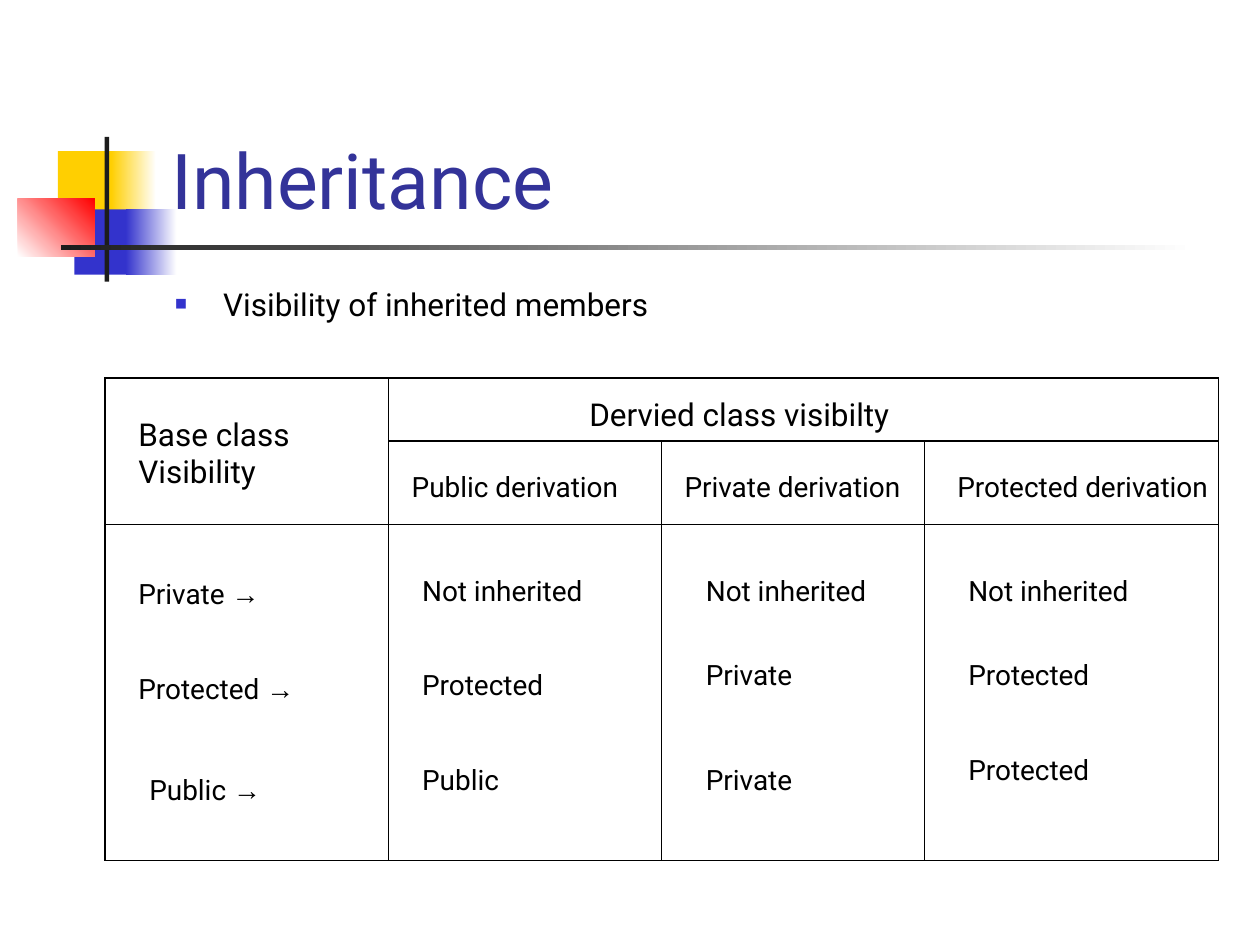
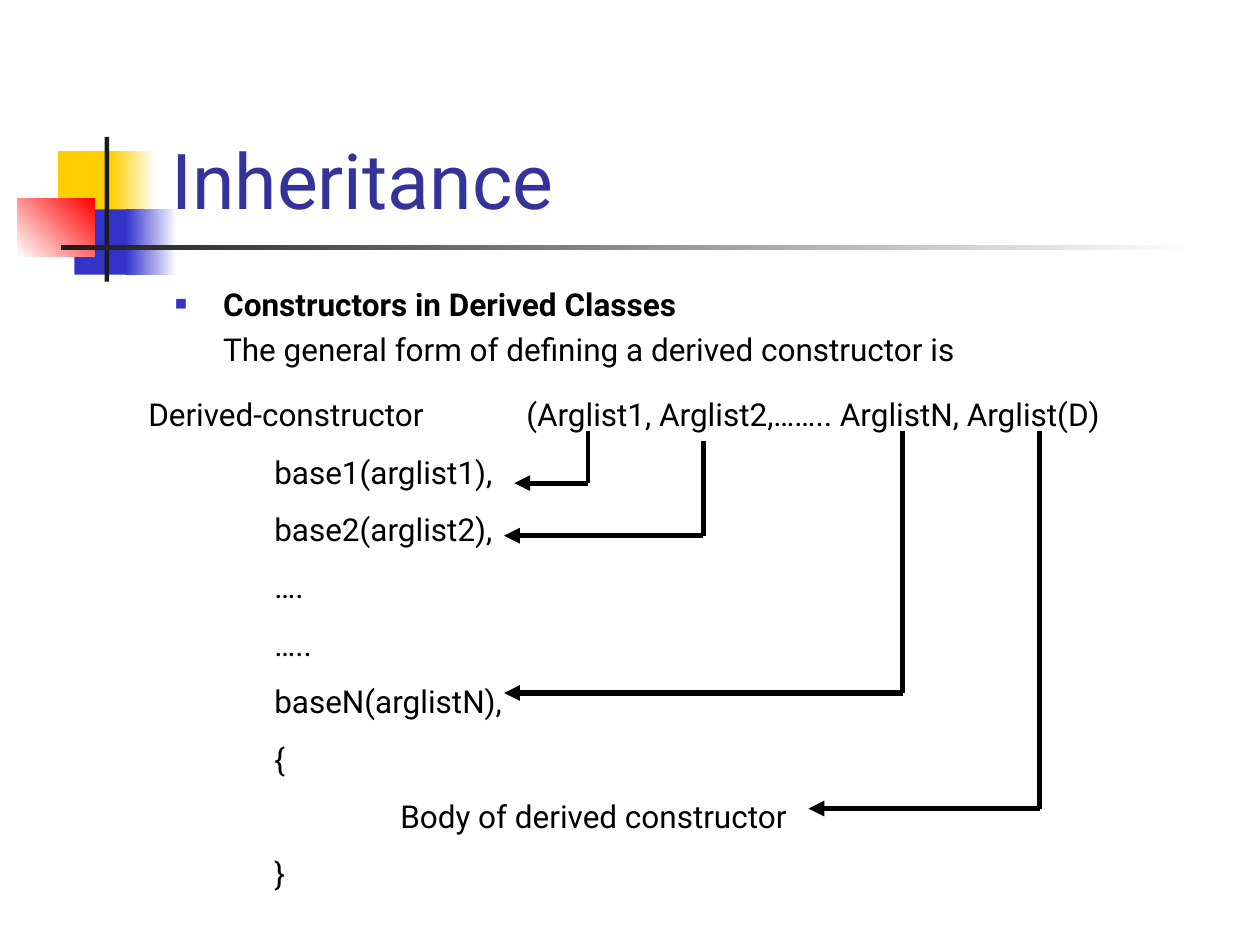
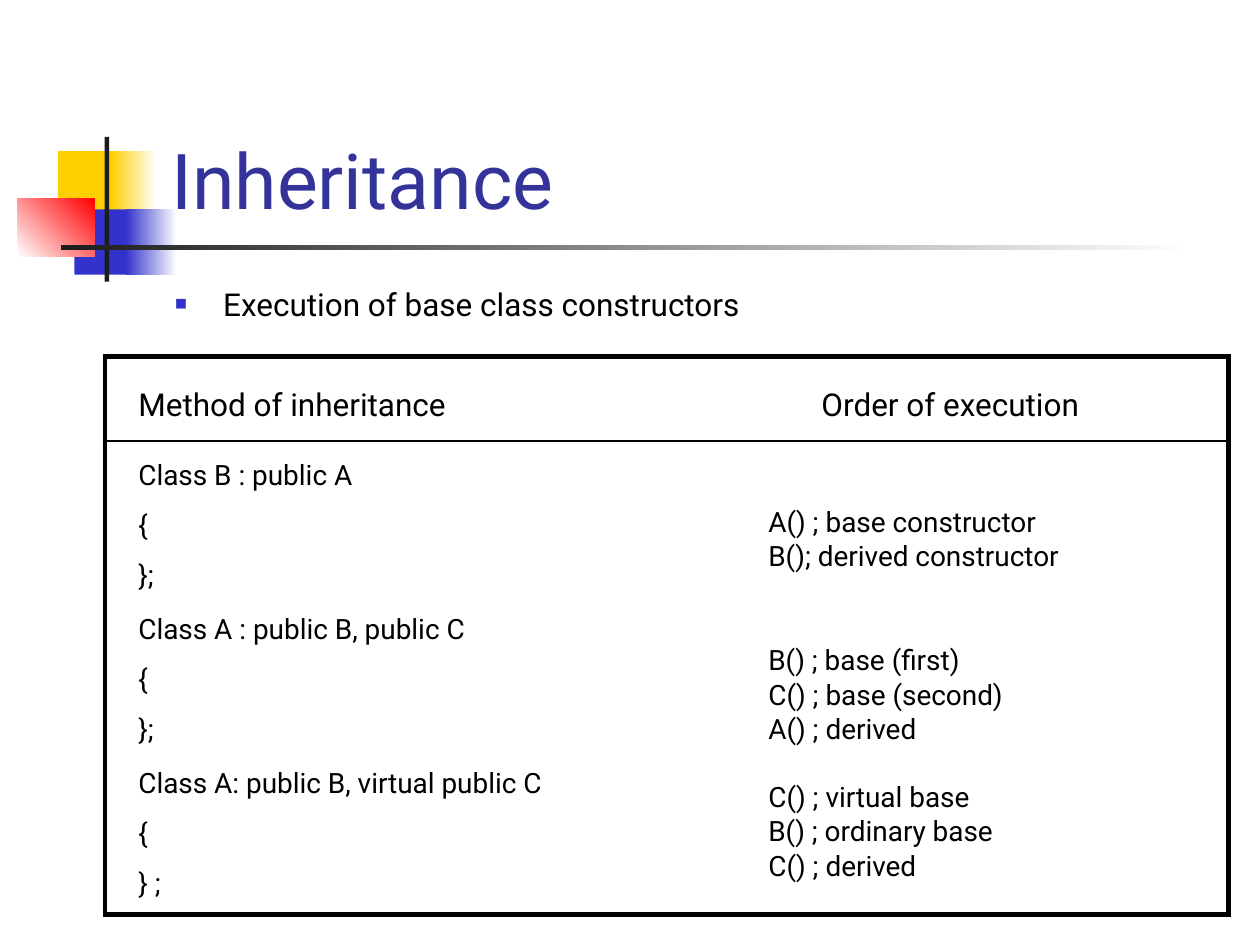
from dataclasses import dataclass

from lxml.etree import SubElement
from pptx import Presentation
from pptx.dml.color import RGBColor
from pptx.enum.shapes import MSO_CONNECTOR as Connector, MSO_SHAPE as Shape
from pptx.enum.text import MSO_ANCHOR as Anchor, MSO_AUTO_SIZE as AutoSize, PP_ALIGN as Align
from pptx.oxml.ns import qn
from pptx.util import Cm, Pt

BLACK, WHITE, CHARCOAL = "000000", "FFFFFF", "1C1C1C"
YELLOW, BLUE, RED, TITLE_BLUE = "FFCF01", "3333CC", "FF0000", "333399"
FONT, ARROW_FONT, ARROW = "Roboto", "Arial", "→"
INSET_X, INSET_Y = 0.25, 0.13
BULLET_INDENT = 0.97
STEP = 2.54


@dataclass
class Block:
    left: float
    top: float
    width: float
    height: float
    colors: tuple[str, ...]
    angle: float = 0


@dataclass
class CellText:
    row: int
    col: int
    text: str
    left: float
    top: float
    size: float = 16
    space: float = 0
    rows: int = 1
    cols: int = 1


@dataclass
class Grid:
    left: float
    top: float
    col_widths: list[float]
    row_heights: list[float]
    row_lines: dict[int, int]
    col_lines: dict[int, int]
    outer: float
    cells: list[CellText]
    inner: float = 0.75


@dataclass
class Arrow:
    x: float
    top: float
    bottom: float
    tip: float
    stem: float = 3


BLOCKS = [
    Block(1.17, 3.05, 1.22, 1.32, (YELLOW,)),
    Block(2.24, 3.05, 0.91, 1.32, (YELLOW, WHITE)),
    Block(1.5, 4.22, 1.17, 1.32, (BLUE,)),
    Block(2.54, 4.22, 1.02, 1.32, (BLUE, WHITE)),
    Block(0.36, 4.01, 1.55, 1.17, (WHITE, RED), 45),
    Block(2.11, 2.76, 0.09, 2.92, (CHARCOAL,)),
    Block(1.23, 4.94, 22.86, 0.1, (CHARCOAL, WHITE)),
]

VISIBILITY = Grid(
    2.12, 7.62, [5.72, 5.5, 5.29, 5.93], [1.27, 1.69, 2.11, 2.11, 2.55],
    row_lines={1: 1, 2: 0}, col_lines={1: 0, 2: 1, 3: 1}, outer=1,
    cells=[
        CellText(0, 0, "Base class Visibility", 0.67, 0.1, 18, rows=2),
        CellText(0, 1, "Dervied class visibilty", 4.04, 0.38, 18, cols=3),
        CellText(1, 1, "Public derivation", 0.46, 0.61),
        CellText(1, 2, "Private derivation", 0.46, 0.61),
        CellText(1, 3, "Protected derivation", 0.67, 0.61),
        CellText(2, 0, "Private →", 0.67, 1.09),
        CellText(2, 1, "Not inherited", 0.67, 1.02),
        CellText(2, 2, "Not inherited", 0.89, 1.02),
        CellText(2, 3, "Not inherited", 0.89, 1.02),
        CellText(3, 0, "Protected →", 0.67, 0.89),
        CellText(3, 1, "Protected", 0.67, 0.81),
        CellText(3, 2, "Private", 0.89, 0.61),
        CellText(3, 3, "Protected", 0.89, 0.61),
        CellText(4, 0, "Public →", 0.89, 0.81),
        CellText(4, 1, "Public", 0.67, 0.61),
        CellText(4, 2, "Private", 0.89, 0.61),
        CellText(4, 3, "Protected", 0.89, 0.41),
    ],
)

EXECUTION = Grid(
    2.12, 7.19, [11.65, 11], [1.7, 3.18, 3.18, 3.18],
    row_lines={1: 0}, col_lines={}, outer=3,
    cells=[
        CellText(0, 0, "Method of inheritance", 0.67, 0.61, 18),
        CellText(0, 1, "Order of execution", 2.79, 0.61, 18),
        CellText(1, 0, "Class B : public A\n{\n};", 0.67, 0.38, space=10),
        CellText(1, 1, "A() ; base constructor\nB(); derived constructor", 1.72, 1.32, space=1),
        CellText(2, 0, "Class A : public B, public C\n{\n};", 0.67, 0.3, space=10),
        CellText(2, 1, "B() ; base (first)\nC() ; base (second)\nA() ; derived", 1.72, 0.93,
                 space=1),
        CellText(3, 0, "Class A: public B, virtual public C\n{\n} ;", 0.67, 0.22, space=10),
        CellText(3, 1, "C() ; virtual base\nB() ; ordinary base\nC() ; derived", 1.72, 0.51,
                 space=1),
    ],
)

CONSTRUCTOR_LINES = [
    (0, "Derived-constructor"),
    (1, "base1(arglist1),"),
    (1, "base2(arglist2),"),
    (1, "…."),
    (1, "….."),
    (1, "baseN(arglistN),"),
    (1, "{"),
    (2, "Body of derived constructor"),
    (1, "}"),
]

ARROWS = [
    Arrow(11.85, 8.68, 9.74, 10.37, stem=2.25),
    Arrow(14.18, 8.89, 10.8, 10.16),
    Arrow(18.2, 8.68, 13.97, 10.16),
    Arrow(20.96, 8.68, 16.3, 16.3),
]


def rgb(color: str) -> RGBColor:
    return RGBColor.from_string(color)


def write(tf, text: str, *, size: float = 18, color: str = BLACK, bold: bool = False,
          space: float = 0, left: float = 0, bullet: bool = False) -> None:
    for line in text.split("\n"):
        follows = bool(tf.text)
        p = tf.add_paragraph() if follows else tf.paragraphs[0]
        p.alignment = Align.LEFT
        pPr = p._p.get_or_add_pPr()
        pPr.set("marL", str(Cm(left)))
        pPr.set("indent", str(-Cm(left) if bullet else 0))
        if bullet:
            SubElement(SubElement(pPr, qn("a:buClr")), qn("a:srgbClr"), val=BLUE)
            SubElement(pPr, qn("a:buSzPct"), val="40000")
            SubElement(pPr, qn("a:buFont"), typeface=FONT)
            SubElement(pPr, qn("a:buChar"), char="■")
        if follows:
            p.space_before = Pt(space)
        for part in filter(None, line.partition(ARROW)):
            r = p.add_run()
            r.text = part
            r.font.name = ARROW_FONT if part == ARROW else FONT
            r.font.size = Pt(size)
            r.font.bold = bold
            r.font.color.rgb = rgb(color)


def add_box(s, left: float, top: float, width: float, height: float):
    tf = s.shapes.add_textbox(Cm(left), Cm(top), Cm(width), Cm(height)).text_frame
    tf.word_wrap = True
    tf.margin_left = tf.margin_right = Cm(INSET_X)
    tf.margin_top = tf.margin_bottom = Cm(INSET_Y)
    return tf


def add_block(s, block: Block):
    sp = s.shapes.add_shape(Shape.RECTANGLE, Cm(block.left), Cm(block.top),
                            Cm(block.width), Cm(block.height))
    sp.shadow.inherit = False
    sp.line.fill.background()
    if len(block.colors) == 1:
        sp.fill.solid()
        sp.fill.fore_color.rgb = rgb(block.colors[0])
    else:
        sp.fill.gradient()
        sp.fill.gradient_angle = block.angle
        for stop, color in zip(sp.fill.gradient_stops, block.colors):
            stop.color.rgb = rgb(color)
    return sp


def decorate_layout(layout, s) -> None:
    for number, block in enumerate(BLOCKS, start=20):
        el = add_block(s, block).element
        el.find(".//" + qn("p:cNvPr")).set("id", str(number))
        layout.shapes.element.append(el)


def add_slide(prs, layout):
    s = prs.slides.add_slide(layout)
    title = s.shapes.title
    title.left, title.top, title.width, title.height = Cm(3.2), Cm(0.6), Cm(21.64), Cm(4.06)
    tf = title.text_frame
    tf.auto_size = AutoSize.NONE
    tf.vertical_anchor = Anchor.BOTTOM
    write(tf, "Inheritance", size=44, color=TITLE_BLUE)
    return s


def add_topic(s, text: str, *, bold: bool = False, detail: str = "") -> None:
    tf = add_box(s, 3.28, 5.61, 21.59, 2.44 if detail else 1.37)
    write(tf, text, bold=bold, left=BULLET_INDENT, bullet=True)
    if detail:
        write(tf, detail, left=BULLET_INDENT, space=4.5)


def add_line(s, x1: float, y1: float, x2: float, y2: float, width: float,
             arrow: bool = False) -> None:
    line = s.shapes.add_connector(Connector.STRAIGHT, Cm(x1), Cm(y1), Cm(x2), Cm(y2))
    line.line.width = Pt(width)
    line.line.color.rgb = rgb(BLACK)
    if arrow:
        SubElement(line.line._get_or_add_ln(), qn("a:tailEnd"), type="triangle")
    SubElement(line.element.spPr, qn("a:effectLst"))


def set_border(cell, side: str, width: float) -> None:
    ln = SubElement(cell._tc.get_or_add_tcPr(), qn(f"a:ln{side}"), w=str(Pt(width)))
    if width:
        SubElement(SubElement(ln, qn("a:solidFill")), qn("a:srgbClr"), val=BLACK)
    else:
        SubElement(ln, qn("a:noFill"))


def border_width(grid: Grid, lines: dict[int, int], edge: int, last: int, across: int) -> float:
    if edge in (0, last):
        return grid.outer
    return grid.inner if across >= lines.get(edge, across + 1) else 0


def add_grid(s, grid: Grid) -> None:
    n_rows, n_cols = len(grid.row_heights), len(grid.col_widths)
    table = s.shapes.add_table(n_rows, n_cols, Cm(grid.left), Cm(grid.top),
                               Cm(sum(grid.col_widths)), Cm(sum(grid.row_heights))).table
    table.first_row = table.horz_banding = False
    for col, width in zip(table.columns, grid.col_widths):
        col.width = Cm(width)
    for row, height in zip(table.rows, grid.row_heights):
        row.height = Cm(height)
    spans = {(item.row, item.col): (item.rows, item.cols) for item in grid.cells}
    for r in range(n_rows):
        for c in range(n_cols):
            cell = table.cell(r, c)
            rows, cols = spans.get((r, c), (1, 1))
            for side, edge in (("L", c), ("R", c + cols)):
                set_border(cell, side, border_width(grid, grid.col_lines, edge, n_cols, r))
            for side, edge in (("T", r), ("B", r + rows)):
                set_border(cell, side, border_width(grid, grid.row_lines, edge, n_rows, c))
            cell.fill.background()
    for item in grid.cells:
        cell = table.cell(item.row, item.col)
        if item.rows * item.cols > 1:
            cell.merge(table.cell(item.row + item.rows - 1, item.col + item.cols - 1))
        cell.vertical_anchor = Anchor.MIDDLE if item.rows > 1 else Anchor.TOP
        cell.margin_left, cell.margin_top = Cm(item.left), Cm(item.top)
        cell.margin_right = cell.margin_bottom = 0
        write(cell.text_frame, item.text, size=item.size, space=item.space)


def add_constructor_form(s) -> None:
    left, top, width = 2.74, 7.84, 21.59
    tf = add_box(s, left, top, width, 10.29)
    for level, text in CONSTRUCTOR_LINES:
        write(tf, text, left=level * STEP, space=11.2)
    arguments = add_box(s, left + 3 * STEP, top, width - 3 * STEP, 1.02)
    write(arguments, "(Arglist1, Arglist2,…….. ArglistN, Arglist(D)")
    for a in ARROWS:
        add_line(s, a.x, a.top, a.x, a.bottom, a.stem)
        add_line(s, a.x, a.bottom, a.tip, a.bottom, 3, arrow=True)


def main() -> None:
    prs = Presentation()
    prs.slide_width, prs.slide_height = Cm(25.4), Cm(19.05)
    layout = prs.slide_layouts.get_by_name("Title Only")

    s = add_slide(prs, layout)
    decorate_layout(layout, s)
    add_topic(s, "Visibility of inherited members")
    add_grid(s, VISIBILITY)

    s = add_slide(prs, layout)
    add_topic(s, "Constructors in Derived Classes", bold=True,
              detail="The general form of defining a derived constructor is")
    add_constructor_form(s)

    s = add_slide(prs, layout)
    add_topic(s, "Execution of base class constructors")
    add_grid(s, EXECUTION)

    prs.save("out.pptx")


if __name__ == "__main__":
    main()
